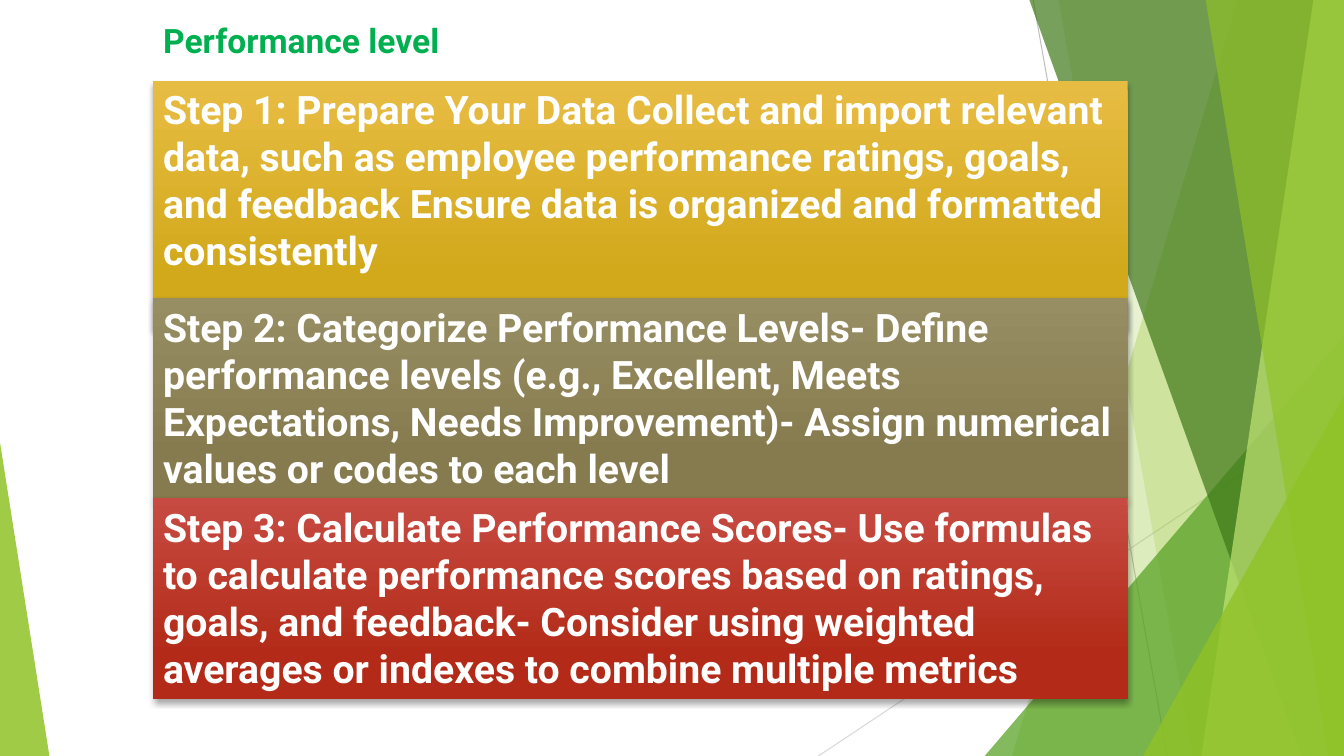
import pptx
import pptx.dml.color
import pptx.enum.shapes
import pptx.enum.text
import pptx.oxml
import pptx.oxml.ns
import pptx.util

WIDTH, HEIGHT = 960, 540
FONT = "Roboto"
TITLE = "Performance level"
BOX_LEFT, BOX_WIDTH = 109.4, 696.2

# text, top, height, gradient colours
STEPS = [
    ("Step 1: Prepare Your Data Collect and import relevant data, such as employee "
     "performance ratings, goals, and feedback Ensure data is organized and formatted "
     "consistently", 57.6, 177.1, ("E7BC43", "D2A91B")),
    ("Step 2: Categorize Performance Levels- Define performance levels (e.g., Excellent, "
     "Meets Expectations, Needs Improvement)- Assign numerical values or codes to each "
     "level", 213.1, 143.3, ("988E64", "857B4E")),
    ("Step 3: Calculate Performance Scores- Use formulas to calculate performance scores "
     "based on ratings, goals, and feedback- Consider using weighted averages or indexes "
     "to combine multiple metrics", 355.7, 143.3, ("C74B42", "B32B18")),
]

# start x, start y, end x, end y, colour
LINES = [
    (738, 0, 833.8, HEIGHT, "BFBFBF"),
    (WIDTH, 290.2, 584.6, HEIGHT, "D9D9D9"),
]

# Back to front. A band runs to the right edge: top left x, bottom left x.
# A triangle stands on the bottom edge: left, top, right, apex position.
FACETS = [
    ("band", (884.2, 722.9), "90C226", 30),
    ("band", (756, 851.8), "90C226", 20),
    ("triangle", (703.4, 239.8, WIDTH, 1), "54A021", 72),
    ("band", (735.1, 929.5), "3F7819", 70),
    ("band", (938.2, 858.2), "C0E474", 70),
    ("band", (861.1, 949), "90C226", 65),
    ("triangle", (816.5, 283, WIDTH, 1), "90C226", 80),
    ("triangle", (0, 316.1, 35.3, 0), "90C226", 85),
]

Pt = pptx.util.Pt
NAMESPACE = pptx.oxml.ns.nsdecls("a")


def colour(value):
    return pptx.dml.color.RGBColor.from_string(value)


def add_line(shapes, start_x, start_y, end_x, end_y, line_colour):
    line = shapes.add_connector(
        pptx.enum.shapes.MSO_CONNECTOR.STRAIGHT,
        Pt(start_x), Pt(start_y), Pt(end_x), Pt(end_y))
    line.line.color.rgb = colour(line_colour)
    line.line.width = Pt(0.75)
    line._element.spPr.append(pptx.oxml.parse_xml(f"<a:effectLst {NAMESPACE}/>"))


def add_band(shapes, top_left, bottom_left):
    builder = shapes.build_freeform(Pt(top_left), Pt(-0.5))
    builder.add_line_segments(
        [(Pt(x), Pt(y)) for x, y in
         [(WIDTH, -0.5), (WIDTH, HEIGHT), (bottom_left, HEIGHT)]], close=True)
    return builder.convert_to_shape()


def add_triangle(shapes, left, top, right, apex):
    triangle = shapes.add_shape(
        pptx.enum.shapes.MSO_SHAPE.ISOSCELES_TRIANGLE,
        Pt(left), Pt(top), Pt(right - left), Pt(HEIGHT - top))
    triangle.adjustments[0] = apex
    return triangle


def fill_facet(shape, fill_colour, opacity):
    shape.shadow.inherit = False
    shape.line.fill.background()
    shape.fill.solid()
    shape.fill.fore_color.rgb = colour(fill_colour)
    shape.fill._xPr.solidFill.find(pptx.oxml.ns.qn("a:srgbClr")).append(
        pptx.oxml.parse_xml(f'<a:alpha {NAMESPACE} val="{opacity * 1000}"/>'))


def write(shape, text, size, text_colour):
    frame = shape.text_frame
    frame.word_wrap = True
    frame.vertical_anchor = pptx.enum.text.MSO_ANCHOR.TOP
    frame.text = text
    paragraph = frame.paragraphs[0]
    paragraph.alignment = pptx.enum.text.PP_ALIGN.LEFT
    font = paragraph.runs[0].font
    font.name, font.size, font.bold = FONT, Pt(size), True
    font.color.rgb = colour(text_colour)


def add_step(shapes, text, top, height, gradient):
    box = shapes.add_shape(
        pptx.enum.shapes.MSO_SHAPE.RECTANGLE,
        Pt(BOX_LEFT), Pt(top), Pt(BOX_WIDTH), Pt(height))
    box.line.fill.background()
    box.fill.gradient()
    box.fill.gradient_angle = 270
    for stop, position, stop_colour in zip(box.fill.gradient_stops, (0, 0.78), gradient):
        stop.position = position
        stop.color.rgb = colour(stop_colour)
    box.shadow.inherit = False
    effects = box._element.spPr.find(pptx.oxml.ns.qn("a:effectLst"))
    effects.append(pptx.oxml.parse_xml(
        f'<a:outerShdw {NAMESPACE} blurRad="{Pt(4)}" dist="{Pt(3)}" dir="5400000" '
        'rotWithShape="0"><a:srgbClr val="000000"><a:alpha val="35000"/></a:srgbClr>'
        '</a:outerShdw>'))
    write(box, text, 28, "FFFFFF")


def main():
    presentation = pptx.Presentation()
    presentation.slide_width, presentation.slide_height = Pt(WIDTH), Pt(HEIGHT)
    slide = presentation.slides.add_slide(presentation.slide_layouts[6])
    shapes = slide.shapes

    for line in LINES:
        add_line(shapes, *line)
    builders = {"band": add_band, "triangle": add_triangle}
    for kind, geometry, fill_colour, opacity in FACETS:
        fill_facet(builders[kind](shapes, *geometry), fill_colour, opacity)
    for step in STEPS:
        add_step(shapes, *step)
    title = shapes.add_textbox(Pt(BOX_LEFT), Pt(10.8), Pt(480.2), Pt(36))
    write(title, TITLE, 24, "00B050")

    presentation.save("out.pptx")


if __name__ == "__main__":
    main()
